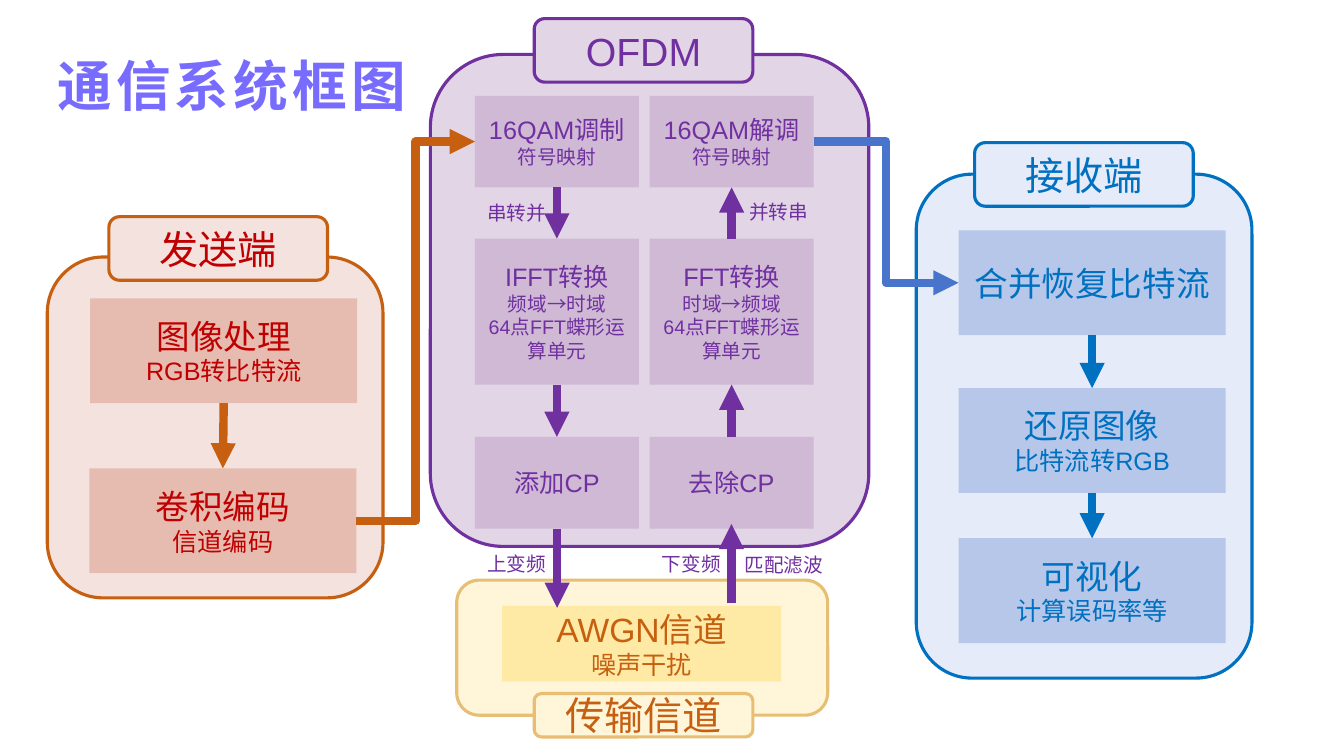
from pptx import Presentation
from pptx.dml.color import RGBColor
from pptx.enum import shapes, text
from pptx.oxml.ns import qn
from pptx.util import Pt
from lxml import etree

FONT = "Arial"
COLORS = {
    "title": "776CFD", "title_end": "483EFB",
    "sender_text": "C00000", "sender_line": "C65F10",
    "sender_frame": "F4E2DF", "sender_box": "E6BCB0",
    "channel_text": "C65F10", "channel_line": "E8BE74",
    "channel_frame": "FFF6DA", "channel_box": "FEEAA5",
    "ofdm_text": "7030A0", "ofdm_line": "7030A0",
    "ofdm_frame": "E2D5E6", "ofdm_box": "CFB9D5",
    "receiver_text": "0070C0", "receiver_line": "0070C0",
    "receiver_frame": "E5EBF8", "receiver_box": "B6C7EA",
    "receiver_link": "4874CB",
}
TAG_W, TAG_H = 156.2, 45.4
STEP_W, STEP_H = 190.8, 74.9
TOP, LEFT, BOTTOM, RIGHT = range(4)  # connection sites of a rectangle


def color(name):
    return RGBColor.from_string(COLORS[name])


def write(tf, lines, color_name, align):
    """Fill a text frame with (text, size) lines, one paragraph each."""
    tf.word_wrap = True
    for i, (line, size) in enumerate(lines):
        p = tf.paragraphs[0] if i == 0 else tf.add_paragraph()
        p.text = line
        p.alignment = align
        p.font.name, p.font.size = FONT, Pt(size)
        p.font.color.rgb = color(color_name)


def add_block(s, kind, at, fill, line=None, lines=(), text_color=None):
    sp = s.shapes.add_shape(kind, *map(Pt, at))
    sp.shadow.inherit = False
    sp.fill.solid()
    sp.fill.fore_color.rgb = color(fill)
    if line:
        sp.line.color.rgb = color(line)
        sp.line.width = Pt(2.25)
    else:
        sp.line.fill.background()
    if lines:
        sp.text_frame.vertical_anchor = text.MSO_ANCHOR.MIDDLE
        write(sp.text_frame, lines, text_color, text.PP_ALIGN.CENTER)
    return sp


def add_group(s, theme, frame, tag, name):
    """Rounded frame with its name tag on the border."""
    rounded = shapes.MSO_SHAPE.ROUNDED_RECTANGLE
    fill, line = theme + "_frame", theme + "_line"
    add_block(s, rounded, frame, fill, line)
    add_block(s, rounded, tag, fill, line, [(name, 28)], theme + "_text")


def add_step(s, theme, at, *lines):
    return add_block(s, shapes.MSO_SHAPE.RECTANGLE, at, theme + "_box",
                     lines=lines, text_color=theme + "_text")


def add_arrow(s, line, points=(0, 0, 0, 0), kind=shapes.MSO_CONNECTOR.STRAIGHT):
    c = s.shapes.add_connector(kind, *map(Pt, points))
    c.line.color.rgb = color(line)
    c.line.width = Pt(6)
    etree.SubElement(c.line._get_or_add_ln(), qn("a:tailEnd"), type="triangle")
    etree.SubElement(c._element.spPr, qn("a:effectLst"))
    return c


def link(s, line, start, start_site, end, end_site,
         kind=shapes.MSO_CONNECTOR.STRAIGHT):
    c = add_arrow(s, line, kind=kind)
    c.begin_connect(start, start_site)
    c.end_connect(end, end_site)


def add_label(s, x, y, width, label):
    tb = s.shapes.add_textbox(Pt(x), Pt(y), Pt(width), Pt(24.5))
    write(tb.text_frame, [(label, 14)], "ofdm_text", text.PP_ALIGN.LEFT)


def add_title(s, title):
    sp = s.shapes.title
    sp.left, sp.top, sp.width, sp.height = map(Pt, (33.8, 33.1, 864, 55.4))
    tf = sp.text_frame
    tf.auto_size = text.MSO_AUTO_SIZE.NONE
    tf.vertical_anchor = text.MSO_ANCHOR.MIDDLE
    p = tf.paragraphs[0]
    p.alignment = text.PP_ALIGN.LEFT
    r = p.add_run()
    r.text = title
    r.font.name, r.font.size, r.font.bold = FONT, Pt(39), True
    r.font.fill.gradient()
    r.font.fill.gradient_angle = 270
    stops = r.font.fill.gradient_stops
    for stop, name, position in zip(stops, ("title", "title_end"), (0, 0.75)):
        stop.color.rgb = color(name)
        stop.position = position
    r.font._element.set("spc", "300")


def add_sender(s):
    add_group(s, "sender", (33.8, 183.6, 239.8, 243.5),
              (77.8, 154.8, TAG_W, TAG_H), "发送端")
    image = add_step(s, "sender", (64.4, 213.1, STEP_W, STEP_H),
                     ("图像处理", 24), ("RGB转比特流", 18))
    coding = add_step(s, "sender", (63.8, 334.6, STEP_W, STEP_H),
                      ("卷积编码", 24), ("信道编码", 18))
    link(s, "sender_line", image, BOTTOM, coding, TOP)
    return coding


def add_channel(s):
    add_group(s, "channel", (326.2, 414.4, 265, 96.5),
              (381.6, 495.4, TAG_W, 31), "传输信道")
    add_step(s, "channel", (358.6, 432.7, 199.4, 54.3),
             ("AWGN信道", 24), ("噪声干扰", 18))


def add_ofdm(s):
    add_group(s, "ofdm", (307.4, 38.9, 313.2, 351.4),
              (381.6, 13.3, TAG_W, TAG_H), "OFDM")
    rows = ((68.4, 65.5), (170.4, 104.4), (312.1, 65.5))
    butterfly = ("64点FFT蝶形运算单元", 14)
    columns = (
        (339.2, [[("16QAM调制", 18), ("符号映射", 14)],
                 [("IFFT转换", 18), ("频域→时域", 14), butterfly],
                 [("添加CP", 18)]]),
        (464, [[("16QAM解调", 18), ("符号映射", 14)],
               [("FFT转换", 18), ("时域→频域", 14), butterfly],
               [("去除CP", 18)]]),
    )
    down, up = [[add_step(s, "ofdm", (x, y, 117.2, h), *lines)
                 for (y, h), lines in zip(rows, steps)] for x, steps in columns]
    for upper, lower in zip(down, down[1:]):
        link(s, "ofdm_line", upper, BOTTOM, lower, TOP)
    for upper, lower in zip(up, up[1:]):
        link(s, "ofdm_line", lower, TOP, upper, BOTTOM)
    return down[0], up[0]


def add_receiver(s):
    add_group(s, "receiver", (654.5, 124.4, 239.8, 360),
              (696.2, 101.9, TAG_W, TAG_H), "接收端")
    steps = [add_step(s, "receiver", (684.7, y, STEP_W, STEP_H), *lines)
             for y, lines in (
                 (164.6, [("合并恢复比特流", 24)]),
                 (277.2, [("还原图像", 24), ("比特流转RGB", 18)]),
                 (384.5, [("可视化", 24), ("计算误码率等", 18)]))]
    for upper, lower in zip(steps, steps[1:]):
        link(s, "receiver_line", upper, BOTTOM, lower, TOP)
    return steps[0]


def main():
    prs = Presentation()
    prs.slide_width, prs.slide_height = Pt(960), Pt(540)
    s = prs.slides.add_slide(prs.slide_layouts[5])
    add_title(s, "通信系统框图")

    # Stages of the system
    coding = add_sender(s)
    add_channel(s)
    modulation, demodulation = add_ofdm(s)
    merging = add_receiver(s)

    # Links between the stages
    elbow = shapes.MSO_CONNECTOR.ELBOW
    link(s, "sender_line", coding, RIGHT, modulation, LEFT, elbow)
    link(s, "receiver_link", demodulation, RIGHT, merging, LEFT, elbow)
    add_arrow(s, "ofdm_line", (398, 377.6, 398, 434.2))
    add_arrow(s, "ofdm_line", (522.5, 431, 522.5, 374.3))

    # Labels beside the arrows
    for x, y, width, label in ((340.8, 140, 56.4, "串转并"),
                               (528.2, 139.2, 56.4, "并转串"),
                               (465.8, 390.8, 56.4, "下变频"),
                               (341, 390.8, 56.4, "上变频"),
                               (524.8, 391.4, 72.6, "匹配滤波")):
        add_label(s, x, y, width, label)
    prs.save("out.pptx")


if __name__ == "__main__":
    main()
